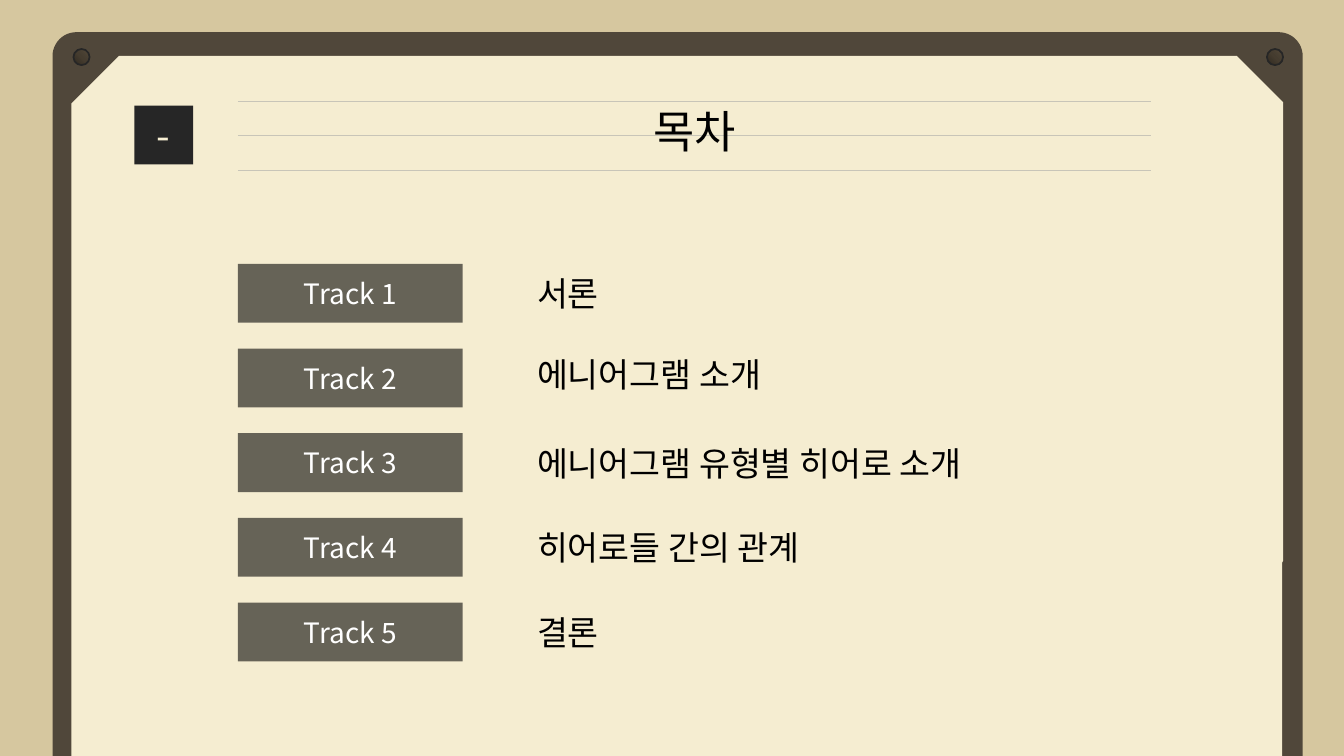
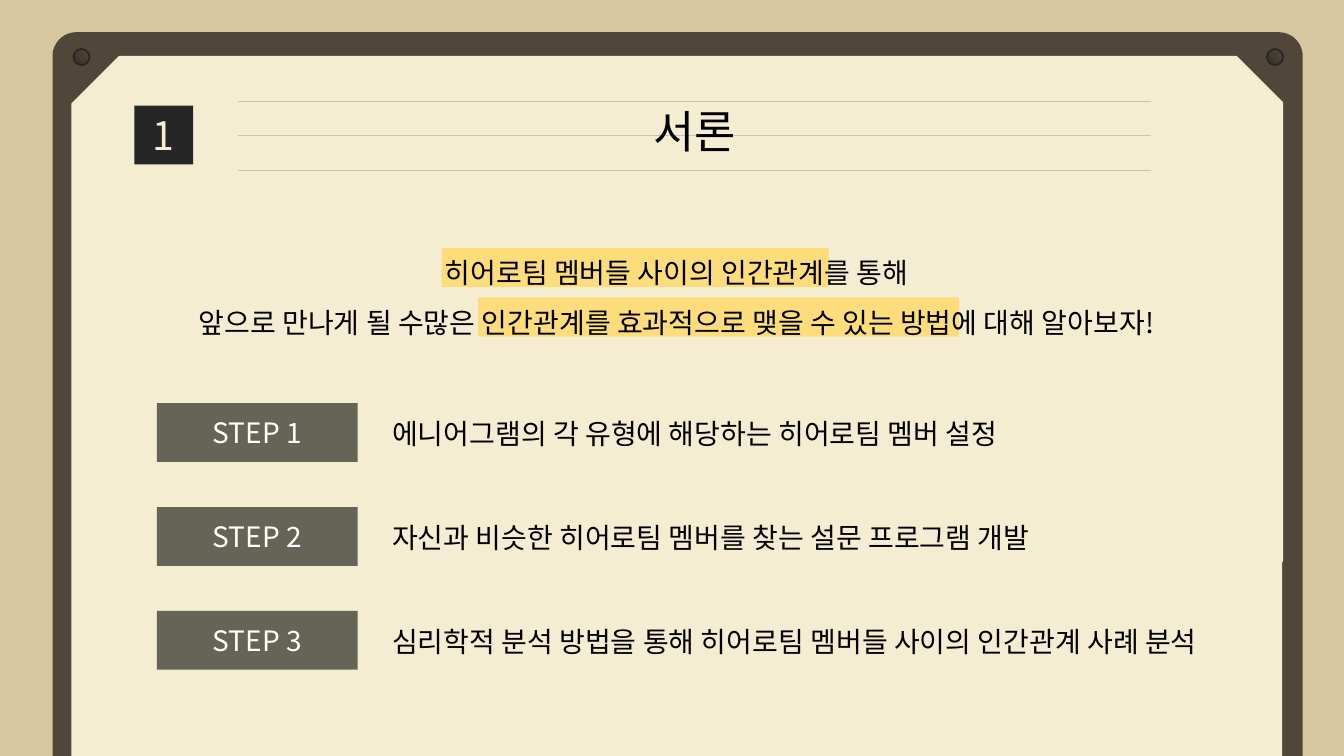
"""Build the contents and introduction slides on a shared clipboard design."""
from copy import deepcopy
from dataclasses import dataclass

from lxml import etree
from pptx import Presentation
from pptx.dml.color import RGBColor
from pptx.enum.shapes import MSO_CONNECTOR, MSO_SHAPE
from pptx.enum.text import MSO_ANCHOR, MSO_AUTO_SIZE, PP_ALIGN
from pptx.oxml.ns import qn
from pptx.util import Pt

RECT, OVAL = MSO_SHAPE.RECTANGLE, MSO_SHAPE.OVAL
ROUND_TOP = MSO_SHAPE.ROUND_2_SAME_RECTANGLE
STRAIGHT = MSO_CONNECTOR.STRAIGHT
LEFT, CENTER = PP_ALIGN.LEFT, PP_ALIGN.CENTER
MIDDLE, GROW = MSO_ANCHOR.MIDDLE, MSO_AUTO_SIZE.SHAPE_TO_FIT_TEXT


@dataclass(frozen=True)
class Theme:
    """Colours, fonts and type sizes."""
    desk: str = "D6C79F"
    board: str = "50473A"
    paper: str = "F5EDD1"
    dark: str = "262626"
    cream: str = "F7EFD3"
    rule: str = "C8C5B8"
    marker: str = "FFD966"
    black: str = "000000"
    white: str = "FFFFFF"
    rivet: tuple = ((0, "302A21"), (0.5, "453C2F"), (1, "524738"))
    font: str = "Noto Sans CJK KR"
    title_font: str = "Lato"
    title: int = 32
    badge: int = 28
    item: int = 24
    body: int = 20


class Deck:
    """Holds the theme and the current slide."""

    def __init__(self, prs, theme):
        self.prs, self.theme, self.s = prs, theme, None

    def set_lines(self, tf, lines, size, color, align=LEFT, font=None, spacing=None):
        tf.word_wrap = True
        for i, line in enumerate(lines):
            p = tf.add_paragraph() if i else tf.paragraphs[0]
            for key, value in {"alignment": align, "line_spacing": spacing}.items():
                setattr(p, key, value)
            r = p.add_run()
            r.text = line
            for key, value in {"size": Pt(size), "name": font or self.theme.font}.items():
                setattr(r.font, key, value)
            r.font.color.rgb = RGBColor.from_string(color)
            ea = etree.SubElement(r.font._element, qn("a:ea"))
            ea.set("typeface", self.theme.font)

    def paint(self, sp, color, alpha=None):
        sp.shadow.inherit = False
        sp.line.fill.background()
        sp.fill.solid()
        sp.fill.fore_color.rgb = RGBColor.from_string(color)
        if alpha:
            clr = sp._element.spPr.find(qn("a:solidFill")).find(qn("a:srgbClr"))
            etree.SubElement(clr, qn("a:alpha")).set("val", str(alpha * 1000))

    def shape(self, kind, x, y, w, h, color, alpha=None):
        sp = self.s.shapes.add_shape(kind, Pt(x), Pt(y), Pt(w), Pt(h))
        self.paint(sp, color, alpha)
        return sp

    def block(self, x, y, w, h, text, size, fill, color, alpha=None):
        tf = self.shape(RECT, x, y, w, h, fill, alpha).text_frame
        tf.vertical_anchor = MIDDLE
        self.set_lines(tf, [text], size, color, CENTER)

    def label(self, x, y, w, text):
        t = self.theme
        self.block(x, y, w, 42, text, t.body, t.black, t.white, 58)

    def text(self, x, y, w, h, lines, size, **style):
        tf = self.s.shapes.add_textbox(Pt(x), Pt(y), Pt(w), Pt(h)).text_frame
        tf.auto_size = GROW
        self.set_lines(tf, lines, size, self.theme.black, **style)

    def highlight(self, x, y, w):
        self.shape(RECT, x, y, w, 28, self.theme.marker, 80)

    def rule(self, x1, x2, y):
        sp = self.s.shapes.add_connector(STRAIGHT, Pt(x1), Pt(y), Pt(x2), Pt(y))
        sp.line.width = Pt(0.25)
        sp.line.color.rgb = RGBColor.from_string(self.theme.rule)
        etree.SubElement(sp._element.spPr, qn("a:effectLst"))

    def rivet(self, x):
        sp = self.shape(OVAL, x, 35, 11.5, 11.5, self.theme.board)
        sp.line.width = Pt(1.25)
        sp.line.color.rgb = RGBColor.from_string(self.theme.dark)
        sp.fill.gradient()
        sp.fill.gradient_angle = 45
        first = sp._element.spPr.find(qn("a:gradFill")).find(qn("a:gsLst"))[0]
        first.addnext(deepcopy(first))
        for stop, (position, color) in zip(sp.fill.gradient_stops, self.theme.rivet):
            stop.position = position
            stop.color.rgb = RGBColor.from_string(color)

    def paper(self):
        corners = [(883.5, 40), (916.5, 73), (916.5, 400.5), (915.8, 402),
                   (915.8, 540), (51, 540), (51, 74)]
        outline = self.s.shapes.build_freeform(Pt(85), Pt(40))
        outline.add_line_segments([(Pt(x), Pt(y)) for x, y in corners], close=True)
        self.paint(outline.convert_to_shape(), self.theme.paper)

    def slide(self, badge, title):
        t = self.theme
        self.s = self.prs.slides.add_slide(self.prs.slide_layouts[6])
        fill = self.s.background.fill
        fill.solid()
        fill.fore_color.rgb = RGBColor.from_string(t.desk)
        board = self.shape(ROUND_TOP, 37.5, 23, 893, 517, t.board)
        board.adjustments[0], board.adjustments[1] = 0.033, 0
        self.paper()
        for x in (52.5, 905):
            self.rivet(x)
        self.block(96, 75.5, 42, 42, badge, t.badge, t.dark, t.cream)
        for i in range(3):
            self.rule(170, 822, 72 + i * 24.8)
        self.text(222, 70.5, 548.5, 46, [title], t.title, align=CENTER,
                  font=t.title_font)


def contents(deck):
    """Add the table of contents."""
    deck.slide("-", "목차")
    tracks = [("서론", 3), ("에니어그램 소개", 0), ("에니어그램 유형별 히어로 소개", 3),
              ("히어로들 간의 관계", 3), ("결론", 3)]
    for i, (name, drop) in enumerate(tracks):
        y = 188.5 + i * 60.5
        deck.label(170, y, 160.5, f"Track {i + 1}")
        deck.text(376.5, y + drop, 394, 36, [name], deck.theme.item)


def introduction(deck):
    """Add the introduction with its three steps."""
    deck.slide("1", "서론")
    steps = ["에니어그램의 각 유형에 해당하는 히어로팀 멤버 설정",
             "자신과 비슷한 히어로팀 멤버를 찾는 설문 프로그램 개발",
             "심리학적 분석 방법을 통해 히어로팀 멤버들 사이의 인간관계 사례 분석"]
    for i, step in enumerate(steps):
        y = 288 + i * 74.2
        deck.label(112, y, 143.5, f"STEP {i + 1}")
        deck.text(273, y + 6, 607, 32, [step], deck.theme.body)
    deck.highlight(341.5, 212.5, 343.5)
    deck.highlight(315.5, 177, 276.5)
    deck.text(90.5, 167, 785.5, 76.5,
              ["히어로팀 멤버들 사이의 인간관계를 통해",
               "앞으로 만나게 될 수많은 인간관계를 효과적으로 맺을 수 있는 방법에 대해 알아보자!"],
              deck.theme.body, align=CENTER, spacing=1.5)


def main():
    """Build and save the presentation."""
    prs = Presentation()
    prs.slide_width, prs.slide_height = Pt(960), Pt(540)
    deck = Deck(prs, Theme())
    contents(deck)
    introduction(deck)
    prs.save("out.pptx")


if __name__ == "__main__":
    main()
